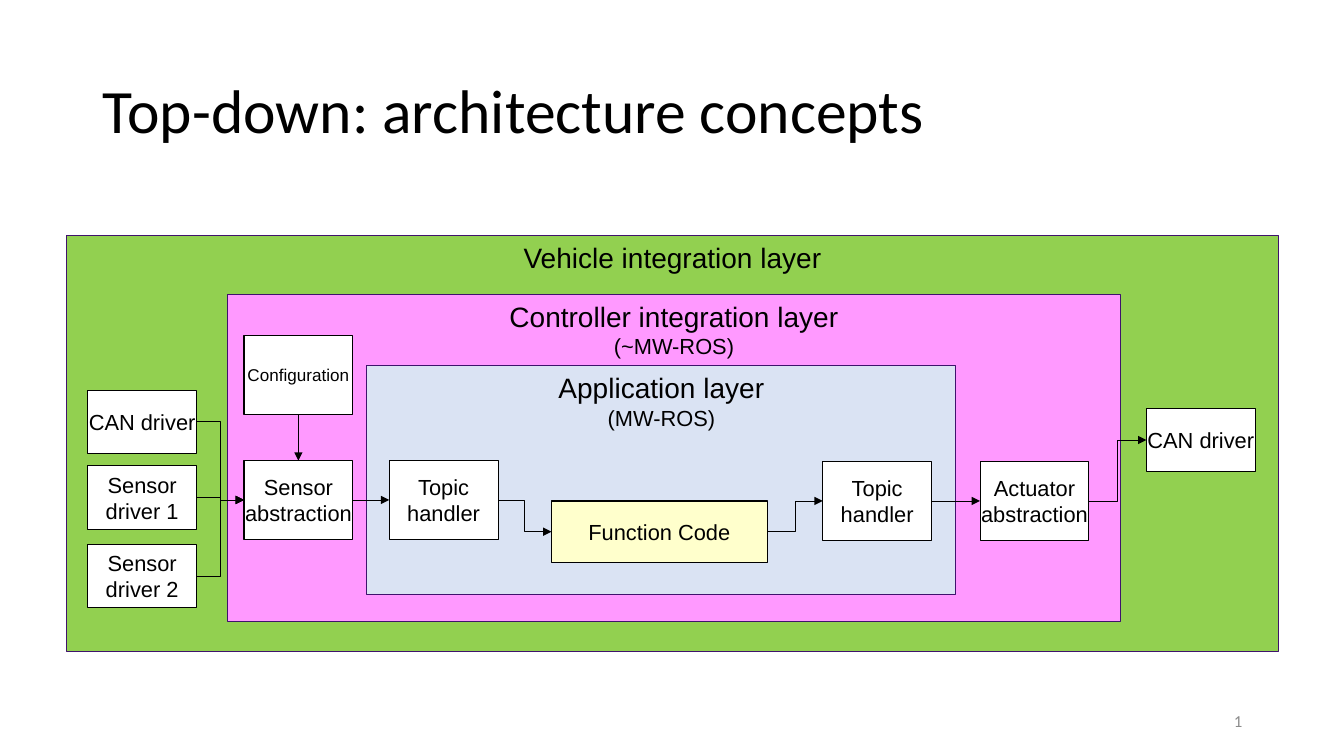
from dataclasses import dataclass

from lxml.etree import SubElement
from pptx import Presentation
from pptx.dml.color import RGBColor
from pptx.enum.shapes import MSO_CONNECTOR as CONN, MSO_SHAPE as SHAPE
from pptx.enum.text import MSO_ANCHOR as ANCHOR, PP_ALIGN as ALIGN
from pptx.oxml.ns import qn
from pptx.util import Inches, Pt


@dataclass(frozen=True)
class Theme:
    heading_font: str = "Calibri"
    body_font: str = "Arial"
    title: float = 44
    layer: float = 20
    block: float = 15.6
    small: float = 12.2
    number: float = 12
    ink: str = "000000"
    muted: str = "8C8C8C"
    layer_line: str = "3F136C"
    vehicle: str = "92D050"
    controller: str = "FF99FF"
    application: str = "DAE3F3"
    white: str = "FFFFFF"
    code: str = "FFFFCC"


@dataclass(frozen=True)
class Box:
    x: float
    y: float
    w: float
    h: float

    def inner(self, dx, dy, w, h):
        return Box(self.x + dx, self.y + dy, w, h)

    def emu(self):
        return [Inches(v) for v in (self.x, self.y, self.w, self.h)]


T = Theme()
BLOCK_W, DRIVER_H, BLOCK_H = 1.08, 0.63, 0.78
TOP, LEFT, BOTTOM, RIGHT = range(4)


def style(p, size, font=T.body_font, color=T.ink, align=ALIGN.CENTER):
    p.alignment = align
    p.font.size = Pt(size)
    p.font.name = font
    p.font.color.rgb = RGBColor.from_string(color)


def add_rect(s, box, fill, line):
    sp = s.shapes.add_shape(SHAPE.RECTANGLE, *box.emu())
    sp.shadow.inherit = False
    sp.fill.solid()
    sp.fill.fore_color.rgb = RGBColor.from_string(fill)
    sp.line.color.rgb = RGBColor.from_string(line)
    sp.line.width = Pt(0.75)
    sp.text_frame.word_wrap = True
    return sp


def add_layer(s, box, fill, name, note=None):
    tf = add_rect(s, box, fill, T.layer_line).text_frame
    tf.vertical_anchor = ANCHOR.TOP
    tf.text = name
    style(tf.paragraphs[0], T.layer)
    if note:
        p = tf.add_paragraph()
        p.text = note
        style(p, T.block)


def add_block(s, box, text, size=T.block, fill=T.white):
    sp = add_rect(s, box, fill, T.ink)
    tf = sp.text_frame
    tf.margin_left = tf.margin_right = tf.margin_top = tf.margin_bottom = 0
    tf.vertical_anchor = ANCHOR.MIDDLE
    tf.text = text
    p = tf.paragraphs[0]
    style(p, size)
    p.space_before = Pt(5.6)
    return sp


def add_arrow(s, start, end, start_side=RIGHT, end_side=LEFT):
    """Join two blocks, with an elbow where their middles are not level."""
    level = start.top + start.height // 2 == end.top + end.height // 2
    kind = CONN.STRAIGHT if level or start_side == BOTTOM else CONN.ELBOW
    c = s.shapes.add_connector(kind, 0, 0, 0, 0)
    c.begin_connect(start, start_side)
    c.end_connect(end, end_side)
    c.line.color.rgb = RGBColor.from_string(T.ink)
    c.line.width = Pt(0.5)
    SubElement(c.line._get_or_add_ln(), qn("a:tailEnd"), type="triangle")
    SubElement(c._element.spPr, qn("a:effectLst"))


def add_title(s, box, text):
    title = s.shapes.title
    title.left, title.top, title.width, title.height = box.emu()
    tf = title.text_frame
    tf.text = text
    tf.vertical_anchor = ANCHOR.MIDDLE
    p = tf.paragraphs[0]
    style(p, T.title, T.heading_font, align=ALIGN.LEFT)
    p.line_spacing = 0.9


def add_slide_number(s, box):
    tf = s.shapes.add_textbox(*box.emu()).text_frame
    tf.word_wrap = True
    tf.vertical_anchor = ANCHOR.MIDDLE
    p = tf.paragraphs[0]
    p.text = "1"
    style(p, T.number, T.heading_font, T.muted, ALIGN.RIGHT)


def add_architecture(s, box):
    """Draw the nested layers and the signal path from sensors to actuator."""
    add_layer(s, box, T.vehicle, "Vehicle integration layer")
    add_layer(s, box.inner(1.6, 0.58, 8.85, 3.25), T.controller,
              "Controller integration layer", "(~MW-ROS)")
    add_layer(s, box.inner(2.98, 1.29, 5.84, 2.27), T.application,
              "Application layer", "(MW-ROS)")

    def driver(dx, dy, text):
        return add_block(s, box.inner(dx, dy, BLOCK_W, DRIVER_H), text)

    def block(dx, dy, text, size=T.block):
        return add_block(s, box.inner(dx, dy, BLOCK_W, BLOCK_H), text, size)

    inputs = [driver(0.21, dy, text) for dy, text in (
        (1.53, "CAN driver"), (2.28, "Sensor driver 1"), (3.06, "Sensor driver 2"))]
    configuration = block(1.76, 0.99, "Configuration", T.small)
    sensor = block(1.76, 2.23, "Sensor abstraction")
    topic_in = block(3.2, 2.23, "Topic handler")
    code = add_block(s, box.inner(4.81, 2.63, 2 * BLOCK_W - 0.02, 0.61),
                     "Function Code", fill=T.code)
    topic_out = block(7.5, 2.24, "Topic handler")
    actuator = block(9.06, 2.24, "Actuator abstraction")
    output = driver(10.71, 1.71, "CAN driver")

    add_arrow(s, configuration, sensor, BOTTOM, TOP)
    for source in inputs:
        add_arrow(s, source, sensor)
    chain = [sensor, topic_in, code, topic_out, actuator, output]
    for start, end in zip(chain, chain[1:]):
        add_arrow(s, start, end)


def main():
    prs = Presentation()
    prs.slide_width, prs.slide_height = Inches(13.33), Inches(7.5)
    s = prs.slides.add_slide(prs.slide_layouts[5])
    add_title(s, Box(0.92, 0.4, 11.5, 1.45), "Top-down: architecture concepts")
    add_architecture(s, Box(0.66, 2.34, 12.02, 4.12))
    add_slide_number(s, Box(9.42, 6.95, 3, 0.4))
    prs.save("out.pptx")


if __name__ == "__main__":
    main()
